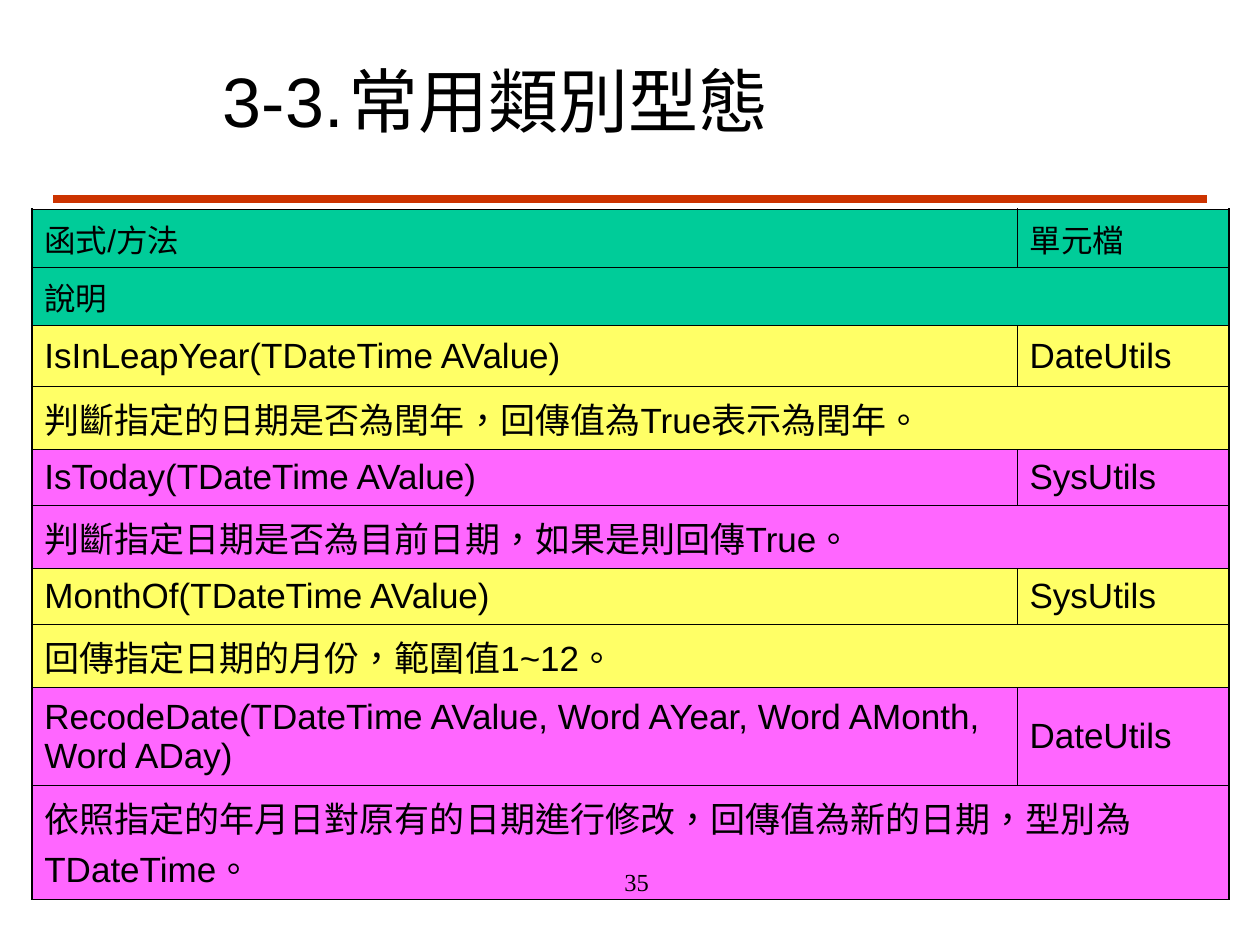
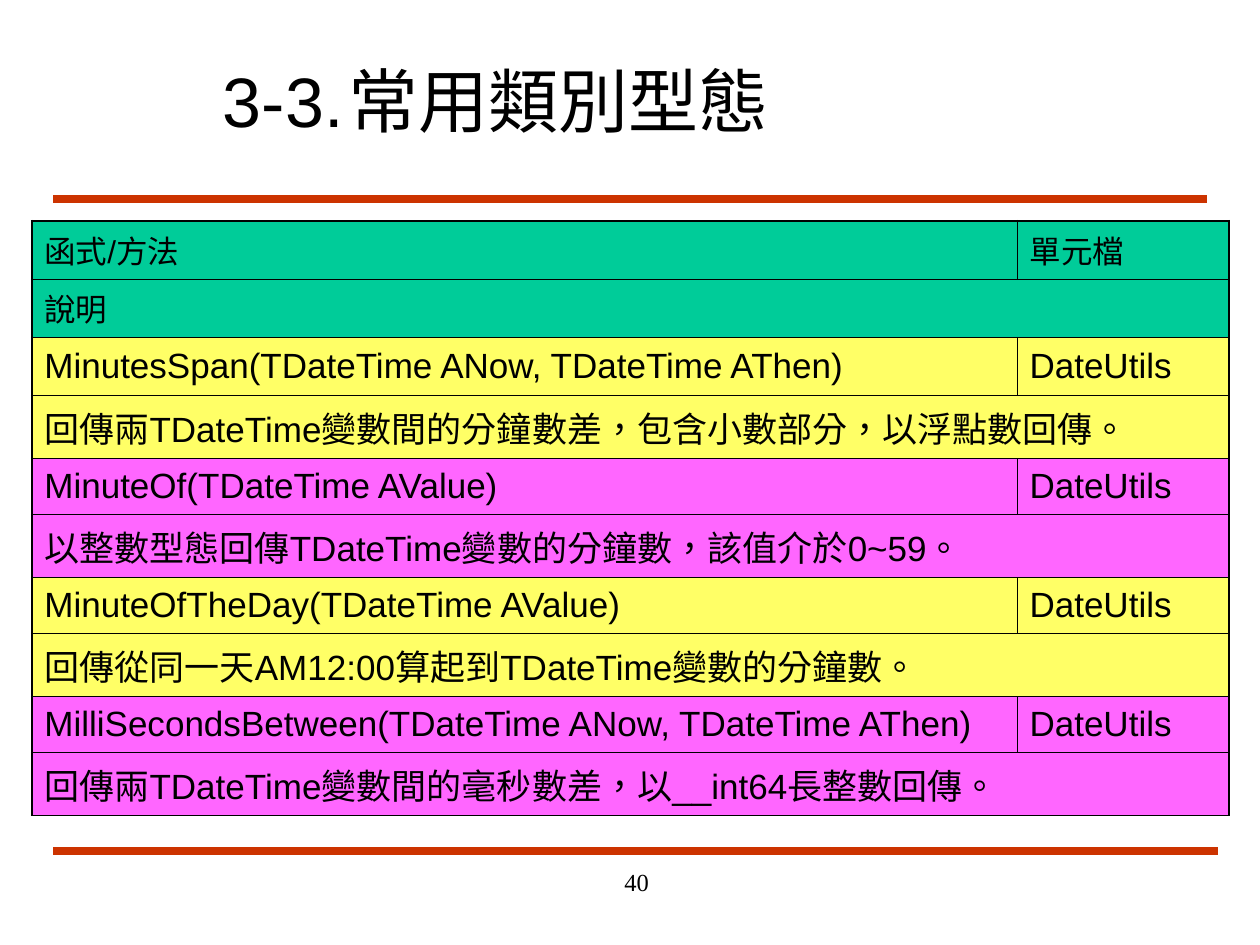
from dataclasses import dataclass

from lxml import etree
from pptx import Presentation
from pptx.dml.color import RGBColor
from pptx.enum.lang import MSO_LANGUAGE_ID
from pptx.enum.shapes import MSO_CONNECTOR
from pptx.enum.text import MSO_ANCHOR, MSO_AUTO_SIZE, PP_ALIGN
from pptx.oxml.ns import qn
from pptx.slide import Slide
from pptx.table import _Cell
from pptx.text.text import _Paragraph
from pptx.util import Cm, Length, Pt

STRAIGHT = MSO_CONNECTOR.STRAIGHT
MIDDLE = MSO_ANCHOR.MIDDLE
LEFT, RIGHT = PP_ALIGN.LEFT, PP_ALIGN.RIGHT
FIXED = MSO_AUTO_SIZE.NONE
CHINESE = MSO_LANGUAGE_ID.TRADITIONAL_CHINESE


@dataclass(frozen=True)
class Theme:
    ink: str = "000000"
    rule: str = "CC3300"
    head: str = "00CC99"
    bands: tuple[str, str] = ("FFFF66", "FF66FF")
    sans: str = "Arial"
    serif: str = "Times New Roman"
    title: Length = Pt(40)
    label: Length = Pt(18)
    body: Length = Pt(20)
    folio: Length = Pt(14)
    bar: Length = Pt(4.5)
    thick: Length = Pt(1.08)
    thin: Length = Pt(0.45)


@dataclass(frozen=True)
class Entry:
    call: str
    unit: str
    note: str
    high: Length = Cm(1.12)
    deep: Length = Cm(1.12)


@dataclass(frozen=True)
class Page:
    folio: str
    top: Length
    items: tuple[Entry, ...]


@dataclass(frozen=True)
class Rule:
    left: Length
    right: Length
    y: Length


THEME = Theme()
TITLE = "3-3.\t常用類別型態"
HEAD = Entry("函式/方法", "單元檔", "說明", Cm(1.02), Cm(1.02))
COLS = (Cm(19.86), Cm(4.27))
RULES = (
    Rule(Cm(1.07), Cm(24.33), Cm(4.02)),
    Rule(Cm(1.07), Cm(24.56), Cm(17.15)),
)
PAGES = (
    Page("35", Cm(4.22), (
        Entry("IsInLeapYear(TDateTime AValue)", "DateUtils",
              "判斷指定的日期是否為閏年，回傳值為True表示為閏年。", high=Cm(1.22)),
        Entry("IsToday(TDateTime AValue)", "SysUtils",
              "判斷指定日期是否為目前日期，如果是則回傳True。"),
        Entry("MonthOf(TDateTime AValue)", "SysUtils",
              "回傳指定日期的月份，範圍值1~12。"),
        Entry("RecodeDate(TDateTime AValue, Word AYear, Word AMonth, Word ADay)",
              "DateUtils",
              "依照指定的年月日對原有的日期進行修改，回傳值為新的日期，型別為TDateTime。",
              Cm(1.96), Cm(1.96)),
    )),
    Page("40", Cm(4.45), (
        Entry("MinutesSpan(TDateTime ANow, TDateTime AThen)", "DateUtils",
              "回傳兩TDateTime變數間的分鐘數差，包含小數部分，以浮點數回傳。",
              high=Cm(1.17)),
        Entry("MinuteOf(TDateTime AValue)", "DateUtils",
              "以整數型態回傳TDateTime變數的分鐘數，該值介於0~59。"),
        Entry("MinuteOfTheDay(TDateTime AValue)", "DateUtils",
              "回傳從同一天AM12:00算起到TDateTime變數的分鐘數。"),
        Entry("MilliSecondsBetween(TDateTime ANow, TDateTime AThen)", "DateUtils",
              "回傳兩TDateTime變數間的毫秒數差，以__int64長整數回傳。"),
    )),
)


def style(para: _Paragraph, size: Length, face: str = THEME.sans) -> None:
    for run in para.runs:
        run.font.size = size
        run.font.name = face
        run.font.color.rgb = RGBColor.from_string(THEME.ink)
        run.font.language_id = CHINESE


def add_rule(slide: Slide, rule: Rule) -> None:
    line = slide.shapes.add_connector(STRAIGHT, rule.left, rule.y, rule.right, rule.y)
    line.line.color.rgb = RGBColor.from_string(THEME.rule)
    line.line.width = THEME.bar
    etree.SubElement(line._element.spPr, qn("a:effectLst"))


def set_title(slide: Slide) -> None:
    box = slide.shapes.title
    box.left, box.top, box.width, box.height = Cm(4.24), Cm(0.84), Cm(19.25), Cm(2.34)
    frame = box.text_frame
    frame.text = TITLE
    frame.auto_size = FIXED
    frame.vertical_anchor = MIDDLE
    para = frame.paragraphs[0]
    para.alignment = LEFT
    tabs = etree.SubElement(para._p.get_or_add_pPr(), qn("a:tabLst"))
    etree.SubElement(tabs, qn("a:tab"), pos=str(Cm(2.54)), algn="l")
    style(para, THEME.title)


def add_edge(cell: _Cell, side: str, width: Length) -> None:
    line = etree.SubElement(cell._tc.get_or_add_tcPr(), qn(f"a:ln{side}"), w=str(width))
    fill = etree.SubElement(line, qn("a:solidFill"))
    etree.SubElement(fill, qn("a:srgbClr"), val=THEME.ink)


def fill_cell(cell: _Cell, text: str, size: Length, tint: str,
              edges: dict[str, Length]) -> None:
    cell.text = text
    cell.vertical_anchor = MIDDLE
    for side, width in edges.items():
        add_edge(cell, side, width)
    cell.fill.solid()
    cell.fill.fore_color.rgb = RGBColor.from_string(tint)
    style(cell.text_frame.paragraphs[0], size)


def add_grid(slide: Slide, page: Page) -> None:
    """Give each entry a row of call and unit, then a merged row for its note."""
    items = (HEAD, *page.items)
    highs = [high for item in items for high in (item.high, item.deep)]
    grid = slide.shapes.add_table(len(highs), len(COLS), Cm(0.64), page.top,
                                  sum(COLS), sum(highs)).table
    grid.first_row = grid.horz_banding = False
    for col, width in zip(grid.columns, COLS):
        col.width = width
    for row, high in zip(grid.rows, highs):
        row.height = high

    thick, thin = THEME.thick, THEME.thin
    for i, item in enumerate(items):
        tint = THEME.bands[(i - 1) % 2] if i else THEME.head
        size = THEME.body if i else THEME.label
        call, unit = grid.cell(2 * i, 0), grid.cell(2 * i, 1)
        note, end = grid.cell(2 * i + 1, 0), grid.cell(2 * i + 1, 1)
        note.merge(end)
        top = thin if i else thick
        fill_cell(call, item.call, size, tint, {"L": thick, "R": thin, "T": top, "B": thin})
        fill_cell(unit, item.unit, size, tint, {"L": thin, "R": thick, "T": top, "B": thin})
        wide = {"L": thick, "R": thick, "T": thin, "B": thin}
        fill_cell(note, item.note, size, tint, wide)


def add_folio(slide: Slide, text: str) -> None:
    box = slide.shapes.add_textbox(Cm(8.05), Cm(17.35), Cm(5.28), Cm(1.27))
    frame = box.text_frame
    frame.word_wrap = True
    frame.text = text
    para = frame.paragraphs[0]
    para.alignment = RIGHT
    style(para, THEME.folio, THEME.serif)


def main() -> None:
    deck = Presentation()
    deck.slide_width, deck.slide_height = Cm(25.4), Cm(19.05)
    plain = deck.slide_layouts.get_by_name("Title Only")
    for page in PAGES:
        slide = deck.slides.add_slide(plain)
        for rule in RULES:
            add_rule(slide, rule)
        set_title(slide)
        add_grid(slide, page)
        add_folio(slide, page.folio)
    deck.save("out.pptx")


if __name__ == "__main__":
    main()
